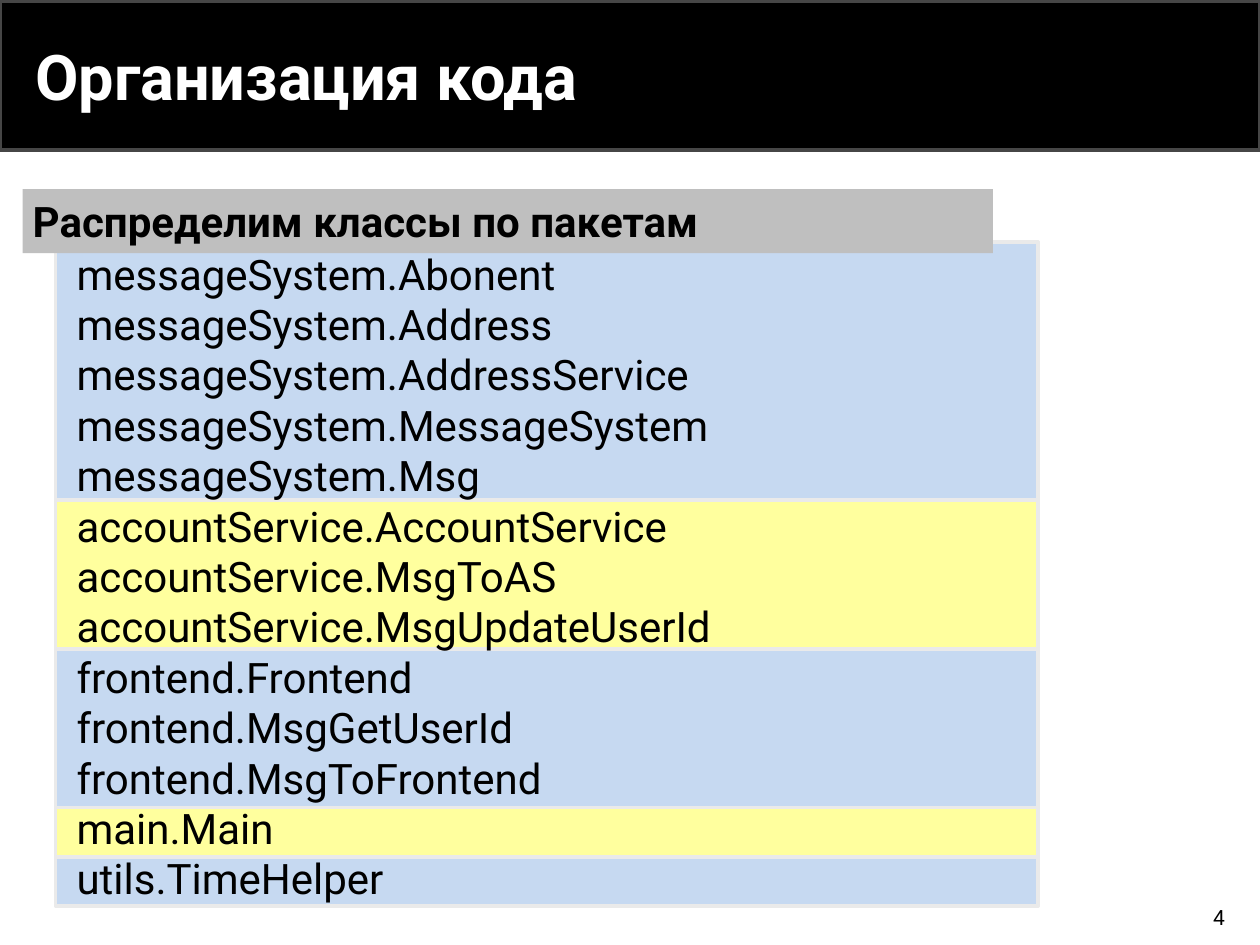
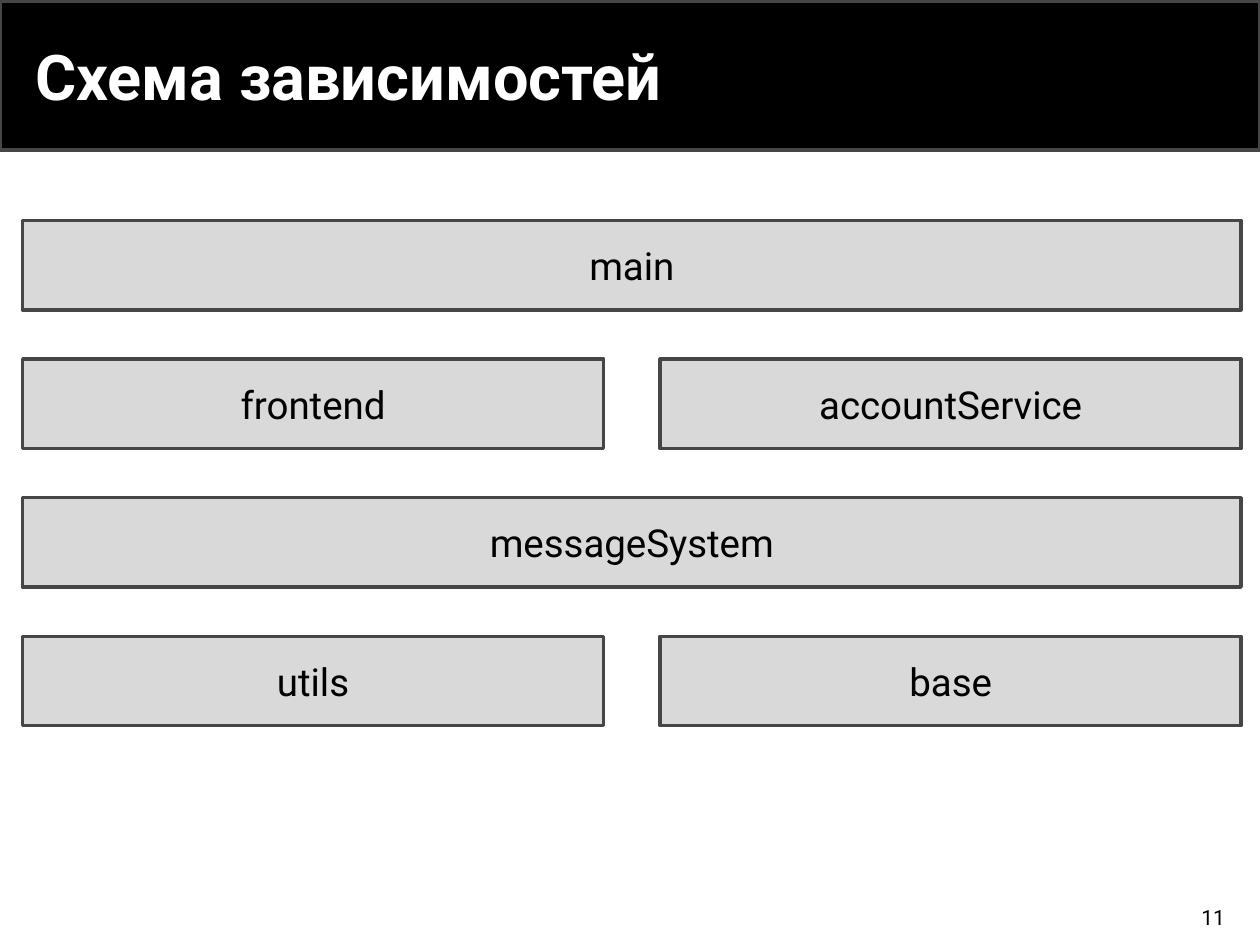
from itertools import accumulate

from pptx import Presentation
from pptx import util as u
from pptx.dml.color import RGBColor
from pptx.enum import shapes, text

BLACK = RGBColor(0x00, 0x00, 0x00)
WHITE = RGBColor(0xFF, 0xFF, 0xFF)
DARK_GREY = RGBColor(0x46, 0x46, 0x46)
MID_GREY = RGBColor(0xBF, 0xBF, 0xBF)
LIGHT_GREY = RGBColor(0xD9, 0xD9, 0xD9)
PALE_GREY = RGBColor(0xEA, 0xEA, 0xEA)
YELLOW = RGBColor(0xFF, 0xFF, 0x9E)
BLUE = RGBColor(0xC6, 0xD9, 0xF1)

WIDTH, HEIGHT = 10, 7.5
MARGIN = 0.18


def write(frame, lines, size=24, color=BLACK, bold=False, align=text.PP_ALIGN.LEFT,
          anchor=text.MSO_ANCHOR.MIDDLE, inset=(0.1, 0.05), after=0):
    frame.word_wrap = True
    frame.auto_size = text.MSO_AUTO_SIZE.NONE
    frame.vertical_anchor = anchor
    frame.margin_left = frame.margin_right = u.Inches(inset[0])
    frame.margin_top = frame.margin_bottom = u.Inches(inset[1])
    frame.text = lines
    for paragraph in frame.paragraphs:
        paragraph.alignment = align
        paragraph.space_before = u.Pt(0)
        paragraph.space_after = u.Pt(after)
        for run in paragraph.runs:
            run.font.name = "Roboto"
            run.font.size = u.Pt(size)
            run.font.bold = bold
            run.font.color.rgb = color


def add_box(slide, left, top, width, height, fill, line=None):
    box = slide.shapes.add_shape(
        shapes.MSO_SHAPE.RECTANGLE, *map(u.Inches, (left, top, width, height)))
    box.shadow.inherit = False
    box.fill.solid()
    box.fill.fore_color.rgb = fill
    if line is None:
        box.line.fill.background()
    else:
        box.line.color.rgb = line
        box.line.width = u.Pt(2)
    return box


deck = Presentation()
deck.slide_width, deck.slide_height = u.Inches(WIDTH), u.Inches(HEIGHT)
title_only = deck.slide_layouts[5]

slides = []
for heading, page in (("Организация кода", "4"), ("Схема зависимостей", "11")):
    slide = deck.slides.add_slide(title_only)
    title = slide.shapes.title
    title.left, title.top, title.width, title.height = map(u.Inches, (MARGIN, 0.1, 8.15, 1))
    write(title.text_frame, heading, size=36, color=WHITE, bold=True)
    page_number = slide.shapes.add_textbox(*map(u.Inches, (7.54, 7.13, 2.28, 0.3)))
    write(page_number.text_frame, page, size=12, align=text.PP_ALIGN.RIGHT)
    slides.append(slide)
code_slide, dependency_slide = slides

title_band = add_box(code_slide, 0, 0.01, WIDTH, 1.18, BLACK, DARK_GREY)
title_only.shapes._spTree.insert(2, title_band._element)

packages = [
    (2.05, BLUE, "messageSystem", ["Abonent", "Address", "AddressService", "MessageSystem", "Msg"]),
    (1.18, YELLOW, "accountService", ["AccountService", "MsgToAS", "MsgUpdateUserId"]),
    (1.26, BLUE, "frontend", ["Frontend", "MsgGetUserId", "MsgToFrontend"]),
    (0.39, YELLOW, "main", ["Main"]),
    (0.39, BLUE, "utils", ["TimeHelper"]),
]
LIST_TOP = 1.92
package_tops = accumulate((package[0] for package in packages), initial=LIST_TOP)
package_bands = [(top, height, fill) for top, (height, fill, *_) in zip(package_tops, packages)]
for top, height, fill in sorted(package_bands, key=lambda band: band[2] == BLUE):
    add_box(code_slide, 0.44, top, 7.8, height, fill, PALE_GREY)

class_names = [f"{package}.{name}" for *_, package, names in packages for name in names]
class_list = code_slide.shapes.add_textbox(*map(u.Inches, (0.51, LIST_TOP, 5.43, 5.35)))
write(class_list.text_frame, "\n".join(class_names), anchor=text.MSO_ANCHOR.TOP)

subtitle = add_box(code_slide, MARGIN, 1.5, 7.7, 0.51, MID_GREY)
write(subtitle.text_frame, "Распределим классы по пакетам", bold=True,
      inset=(0.08, 0.04), after=6)

COLUMN, GAP = 4.61, 0.45
LAYER_TOP, LAYER_PITCH, LAYER_HEIGHT = 1.75, 1.1, 0.71
layers = [["main"], ["frontend", "accountService"], ["messageSystem"], ["utils", "base"]]
for row, modules_in_layer in enumerate(layers):
    width = COLUMN if len(modules_in_layer) == 2 else 2 * COLUMN + GAP
    for column, module_name in enumerate(modules_in_layer):
        module_box = add_box(dependency_slide, MARGIN + column * (COLUMN + GAP),
                             LAYER_TOP + row * LAYER_PITCH, width, LAYER_HEIGHT,
                             LIGHT_GREY, DARK_GREY)
        write(module_box.text_frame, module_name, size=22, align=text.PP_ALIGN.CENTER)

deck.save("out.pptx")
